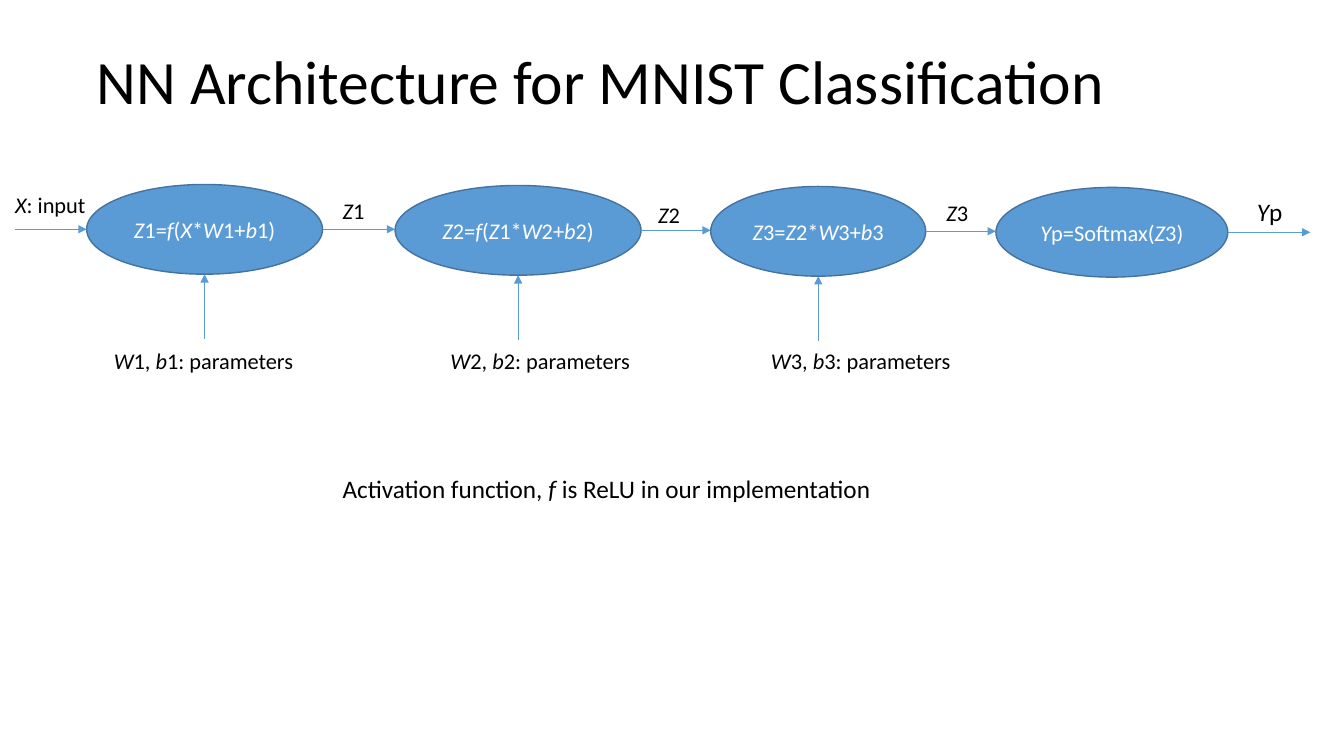
from pptx import Presentation
from pptx.dml.color import RGBColor
from pptx.enum.shapes import MSO_CONNECTOR, MSO_SHAPE
from pptx.enum.text import MSO_ANCHOR, MSO_AUTO_SIZE, PP_ALIGN
from pptx.oxml.ns import qn
from pptx.util import Inches, Pt
from lxml import etree

STRAIGHT, ELLIPSE = MSO_CONNECTOR.STRAIGHT, MSO_SHAPE.OVAL
MIDDLE, TOP = MSO_ANCHOR.MIDDLE, MSO_ANCHOR.TOP
CENTER, LEFT = PP_ALIGN.CENTER, PP_ALIGN.LEFT
GROW = MSO_AUTO_SIZE.SHAPE_TO_FIT_TEXT
COLORS = {"node": "5B9BD5", "edge": "43739E", "ink": "000000", "light": "FFFFFF"}
RGB = {name: RGBColor.from_string(value) for name, value in COLORS.items()}

prs = Presentation()
prs.slide_width, prs.slide_height = Inches(13.33), Inches(7.5)
COL, ROW = prs.slide_width / 100, prs.slide_height / 100
s = prs.slides.add_slide(prs.slide_layouts[6])


def write(sp, text, size, color="ink", align=LEFT, anchor=TOP):
    """Fill a shape with one paragraph; parts between underscores are italic."""
    tf = sp.text_frame
    tf.vertical_anchor = anchor
    p = tf.paragraphs[0]
    p.alignment = align
    for i, part in enumerate(text.split("_")):
        if part:
            r = p.add_run()
            r.text = part
            r.font.color.rgb = RGB[color]
            style = {"name": "Calibri", "size": Pt(size), "italic": i % 2 == 1}
            for key, value in style.items():
                setattr(r.font, key, value)
    return tf


def arrow(x1, y1, x2, y2):
    """Draw a thin arrow between two grid points."""
    cn = s.shapes.add_connector(STRAIGHT, int(x1 * COL), int(y1 * ROW),
                                int(x2 * COL), int(y2 * ROW))
    cn.line.color.rgb, cn.line.width = RGB["node"], Pt(0.5)
    etree.SubElement(cn.line._get_or_add_ln(), qn("a:tailEnd"), type="triangle")
    etree.SubElement(cn._element.spPr, qn("a:effectLst"))


# Title
sp = s.shapes.add_textbox(int(6.45 * COL), int(1.47 * ROW), int(86.25 * COL), int(19.33 * ROW))
tf = write(sp, "NN Architecture for MNIST Classification", 44, anchor=MIDDLE)
tf.word_wrap = True
tf.paragraphs[0].line_spacing = 0.9

# Layers: left column, width, formula; each sits slightly lower than the last
layers = [
    (6.45, 17.55, "_Z_1=_f_(_X_*_W_1+_b_1)"),
    (29.4, 18.3, "_Z_2=_f_(_Z_1*_W_2+_b_2)"),
    (52.88, 16, "_Z_3=_Z_2*_W_3+_b_3"),
    (74.1, 17.25, "_Y_p=Softmax(_Z_3)"),
]
LAYER_TOP, LAYER_H, DROP, STEM = 24.4, 11.87, 0.13, 8.53
targets = [left for left, _, _ in layers[1:]] + [97.5]
arrow(1.13, 30.33, layers[0][0], 30.33)
for i, ((left, width, formula), target) in enumerate(zip(layers, targets)):
    top = LAYER_TOP + i * DROP
    sp = s.shapes.add_shape(ELLIPSE, int(left * COL), int(top * ROW),
                            int(width * COL), int(LAYER_H * ROW))
    sp.shadow.inherit = False
    sp.fill.solid()
    sp.fill.fore_color.rgb = RGB["node"]
    sp.line.color.rgb, sp.line.width = RGB["edge"], Pt(1)
    write(sp, formula, 16, "light", CENTER, MIDDLE)
    middle, bottom, center = top + LAYER_H / 2, top + LAYER_H, left + width / 2
    arrow(left + width, middle, target, middle)
    if i < 3:
        arrow(center, bottom + STEM, center, bottom)

# Labels: left column, top row, width, size, text
labels = [
    (0.38, 24.67, 6.83, 16, "_X_: input"),
    (24.75, 25.47, 3.15, 16, "_Z_1"),
    (48.23, 26, 3.15, 16, "_Z_2"),
    (69.68, 25.73, 3.15, 16, "_Z_3"),
    (92.78, 25.33, 3.45, 18, "_Y_p"),
    (24.75, 62, 41.25, 18, "Activation function, _f_ is ReLU in our implementation"),
]
labels += [(left, 45.2, 15.08, 16, f"_W_{n}, _b_{n}: parameters")
           for n, left in enumerate((7.73, 32.78, 56.63), 1)]
for left, top, width, size, text in labels:
    height = 4.93 if size == 16 else 5.33
    sp = s.shapes.add_textbox(int(left * COL), int(top * ROW), int(width * COL), int(height * ROW))
    tf = write(sp, text, size)
    tf.word_wrap, tf.auto_size = False, GROW

prs.save("out.pptx")
